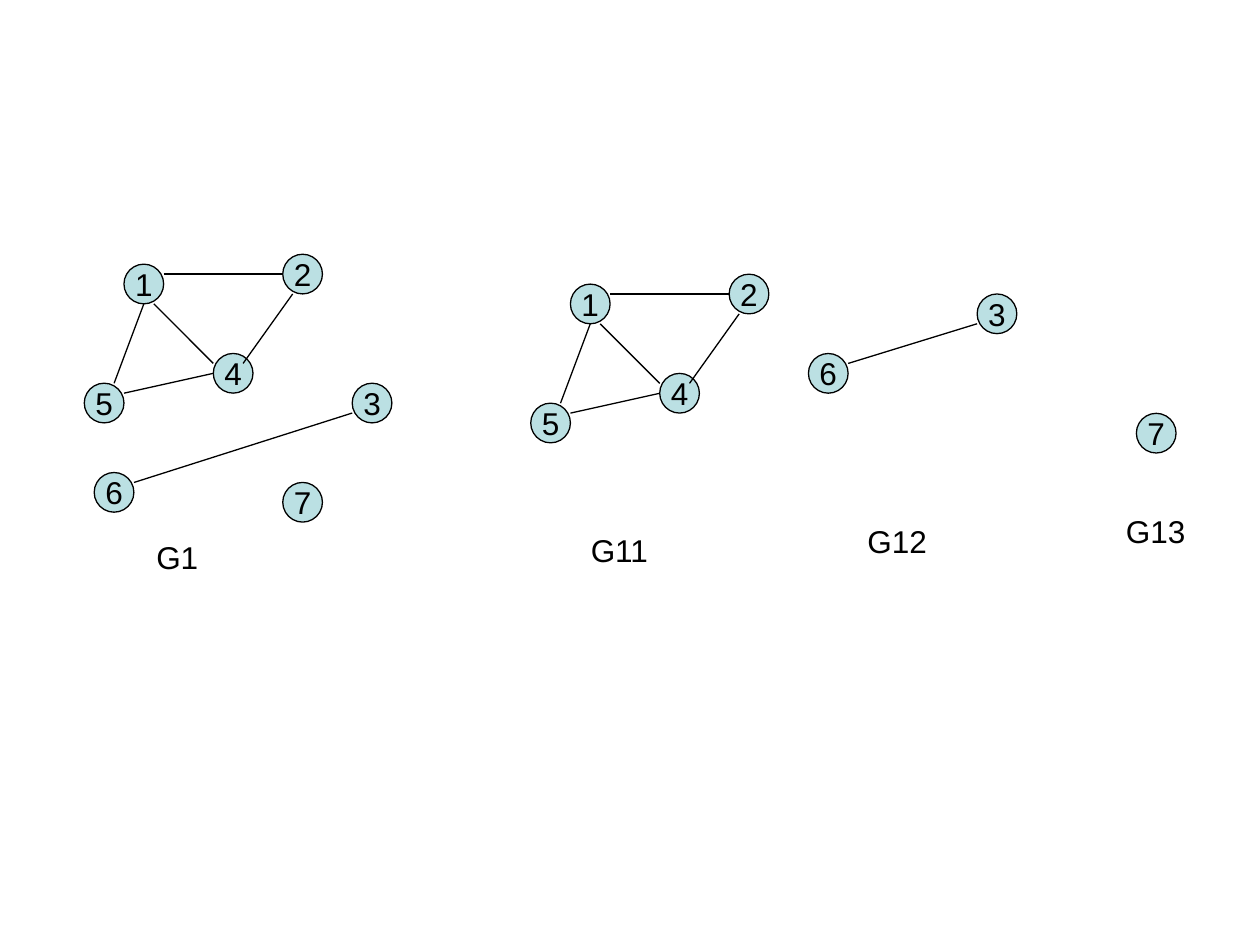
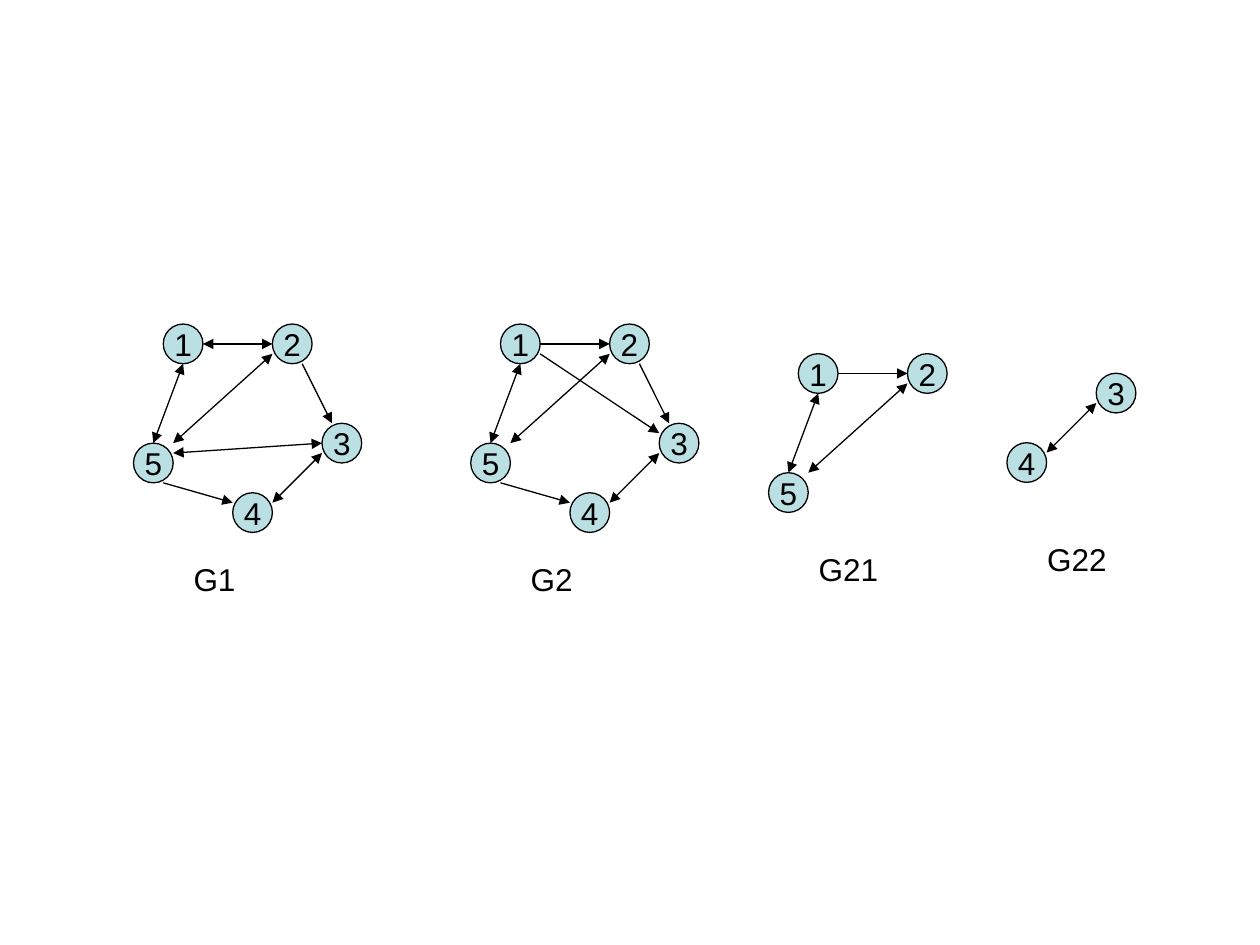
import pptx
import pptx.dml.color
import pptx.enum.shapes
import pptx.enum.text
import pptx.oxml.ns
import pptx.util
from lxml import etree

Pt = pptx.util.Pt
PP_ALIGN = pptx.enum.text.PP_ALIGN
MSO_ANCHOR = pptx.enum.text.MSO_ANCHOR

FONT = "Arial"
NODE_FILL = "BBE0E3"
BLACK = "000000"
UNIT = 5.67  # grid step in points; nodes and edge ends sit on this grid
NODE_SIZE = 4 * UNIT
LINE_WIDTH = 0.75

# Where each edge touches its two nodes, in grid units from each node's corner.
UNDIRECTED_PORTS = {
    "14": ((3, 4), (0, 1)),
    "12": ((4, 1), (0, 2)),
    "15": ((2, 4), (3, 0)),
    "54": ((4, 1), (0, 2)),
    "24": ((1, 4), (3, 1)),
    "63": ((4, 1), (0, 3)),
}
DIRECTED_PORTS = {
    "15": ((2, 4), (2, 0)),
    "12": ((4, 2), (0, 2)),
    "23": ((3, 4), (1, 0)),
    "52": ((4, 0), (0, 3)),
    "54": ((3, 4), (0, 1)),
    "34": ((0, 3), (4, 1)),
    "53": ((4, 1), (0, 2)),
    "13": ((4, 3), (0, 1)),
}

# Node places in grid units from the corner of their graph.
DIAMOND = {"1": (4, 1), "2": (20, 0), "5": (0, 13), "4": (13, 10)}
DIAMOND_EDGES = ["1-4", "1-2", "1-5", "5-4", "2-4"]
PENTAGON = {"1": (3, 0), "2": (14, 0), "5": (0, 12), "4": (10, 17), "3": (19, 10)}
PENTAGON_EDGES = ["1<>5", "2>3", "5<>2", "5>4", "3<>4"]
TRIANGLE = {name: PENTAGON[name] for name in "125"}

# Each graph: label, corner in points, label offset in grid units, nodes, edges.
UNDIRECTED_GRAPHS = [
    ("G1", (48.2, 145.3), (6, 28),
     DIAMOND | {"3": (27, 13), "7": (20, 23), "6": (1, 22)},
     DIAMOND_EDGES + ["6-3"]),
    ("G11", (303.3, 156.7), (4.8, 25.3), DIAMOND, DIAMOND_EDGES),
    ("G12", (462, 168), (4.7, 22.4), {"3": (17, 0), "6": (0, 6)}, ["6-3"]),
    ("G13", (649.4, 236.2), (-2.3, 9.3), {"7": (0, 0)}, []),
]
DIRECTED_GRAPHS = [
    ("G1", (76.3, 185.2), (4.8, 23.2), PENTAGON, PENTAGON_EDGES + ["1<>2", "5<>3"]),
    ("G2", (269, 185.2), (4.8, 23.2), PENTAGON, PENTAGON_EDGES + ["1>2", "1>3"]),
    ("G21", (439.2, 202.1), (3.8, 19.2), TRIANGLE, ["1<>5", "1>2", "5<>2"]),
    ("G22", (575.4, 213.3), (2.8, 16.2), {"4": (0, 7), "3": (9, 0)}, ["3<>4"]),
]


def rgb(value):
    return pptx.dml.color.RGBColor.from_string(value)


def write(sp, text, size=18, color=BLACK, align=PP_ALIGN.LEFT, anchor=MSO_ANCHOR.TOP):
    tf = sp.text_frame
    tf.word_wrap = False
    tf.vertical_anchor = anchor
    p = tf.paragraphs[0]
    p.alignment = align
    r = p.add_run()
    r.text = text
    r.font.name = FONT
    r.font.size = Pt(size)
    r.font.color.rgb = rgb(color)


def set_line(sp):
    sp.line.color.rgb = rgb(BLACK)
    sp.line.width = Pt(LINE_WIDTH)


def add_node(shapes, name, x, y):
    sp = shapes.add_shape(pptx.enum.shapes.MSO_SHAPE.OVAL,
                          Pt(x), Pt(y), Pt(NODE_SIZE), Pt(NODE_SIZE))
    sp.shadow.inherit = False
    sp.fill.solid()
    sp.fill.fore_color.rgb = rgb(NODE_FILL)
    set_line(sp)
    tf = sp.text_frame
    tf.margin_left = tf.margin_right = tf.margin_top = tf.margin_bottom = 0
    write(sp, name, align=PP_ALIGN.CENTER, anchor=MSO_ANCHOR.MIDDLE)


def add_edge(shapes, start, end, arrow):
    """Draw a line; '<' and '>' in arrow put a head at its start and end."""
    points = [Pt(v) for v in (*start, *end)]
    cx = shapes.add_connector(pptx.enum.shapes.MSO_CONNECTOR.STRAIGHT, *points)
    set_line(cx)
    ln = cx.line._get_or_add_ln()
    for mark, tag in (("<", "a:headEnd"), (">", "a:tailEnd")):
        if mark in arrow:
            etree.SubElement(ln, pptx.oxml.ns.qn(tag), type="triangle")
    etree.SubElement(cx._element.spPr, pptx.oxml.ns.qn("a:effectLst"))


def add_graph(slide, ports, label, corner, label_offset, nodes, edges):
    def place(*offsets):
        return [c + UNIT * sum(steps) for c, steps in zip(corner, zip(*offsets))]

    shapes = slide.shapes.add_group_shape().shapes
    for name, offset in nodes.items():
        add_node(shapes, name, *place(offset))
    for edge in edges:
        a, arrow, b = edge[0], edge[1:-1], edge[-1]
        port_a, port_b = ports[a + b]
        add_edge(shapes, place(nodes[a], port_a), place(nodes[b], port_b), arrow)
    x, y = place(label_offset)
    width = 38.2 if len(label) == 2 else 48.2
    write(shapes.add_textbox(Pt(x), Pt(y), Pt(width), Pt(28.8)), label)


def add_graph_slide(prs, ports, graphs):
    slide = prs.slides.add_slide(prs.slide_layouts[6])
    for graph in graphs:
        add_graph(slide, ports, *graph)


def main():
    prs = pptx.Presentation()
    prs.slide_width, prs.slide_height = Pt(720), Pt(540)
    add_graph_slide(prs, UNDIRECTED_PORTS, UNDIRECTED_GRAPHS)
    add_graph_slide(prs, DIRECTED_PORTS, DIRECTED_GRAPHS)
    prs.save("out.pptx")


if __name__ == "__main__":
    main()
